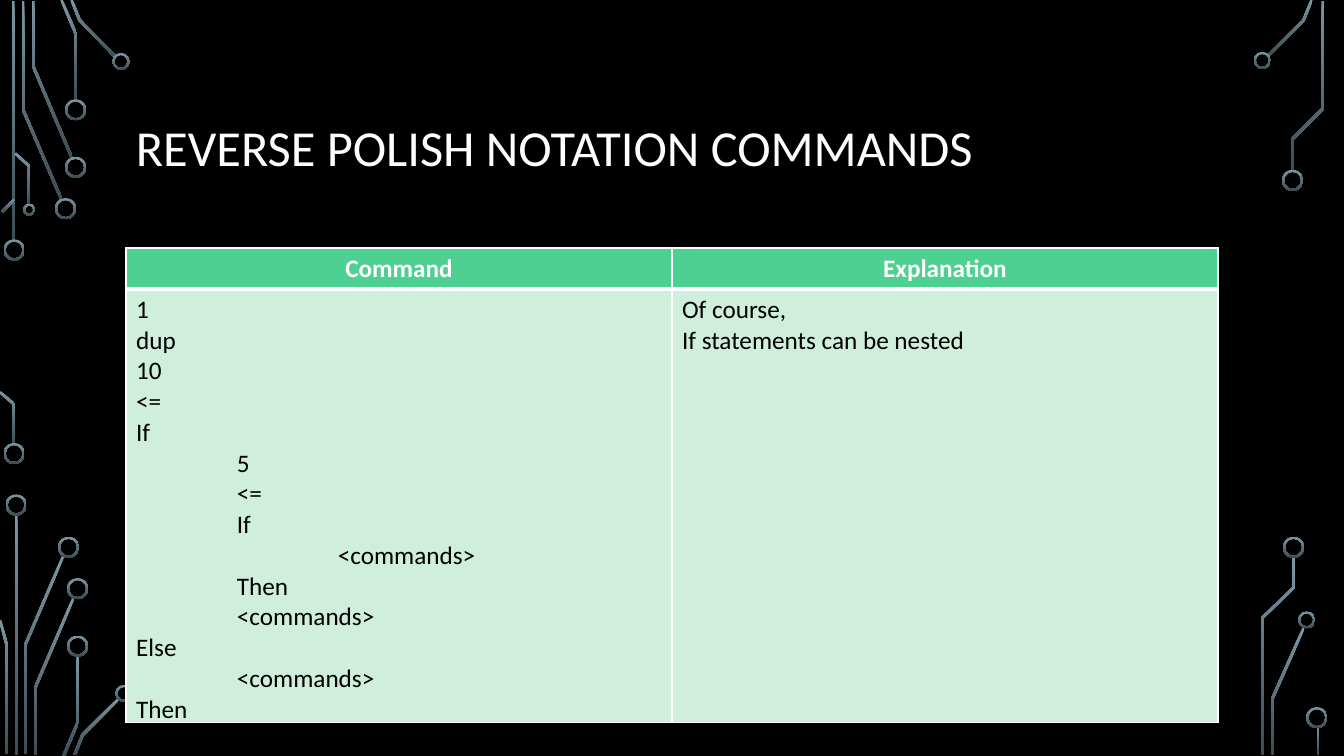
from dataclasses import dataclass
from math import hypot

from lxml import etree
from pptx import Presentation
from pptx.dml.color import RGBColor
from pptx.enum.shapes import MSO_SHAPE
from pptx.enum.text import MSO_ANCHOR, PP_ALIGN
from pptx.oxml.ns import qn
from pptx.util import Inches, Pt

RECT, DONUT = MSO_SHAPE.RECTANGLE, MSO_SHAPE.DONUT
LEFT, CENTER = PP_ALIGN.LEFT, PP_ALIGN.CENTER
MIDDLE = MSO_ANCHOR.MIDDLE
CELL = Inches(0.01)
COLS, ROWS = 1333, 750
TRACE = 2.6
RING_WALL = 2


@dataclass(frozen=True)
class Theme:
    font: str = "Calibri"
    title_size: int = 36
    table_size: int = 18
    background: str = "000000"
    light: str = "FFFFFF"
    dark: str = "000000"
    header: str = "4FD093"
    body: str = "D0EEDC"
    trace_top: str = "7C96A3"
    trace_bottom: str = "3B4C54"


THEME = Theme()

CIRCUITS = [
    {
        "origin": (0, 0),
        "bars": [(12, 1, 239)],
        "traces": [
            [(61, 198), (23, 109), (23, 1)],
            [(71, 156), (33, 66), (33, 1)],
            [(61, 0), (75, 33), (75, 100)],
            [(71, 0), (79, 20), (115, 57)],
            [(2, 210), (14, 198)],
            [(15, 152), (29, 165), (29, 203)],
        ],
        "rings": [(14, 248, 21), (65, 207, 21), (75, 166, 21),
                  (75, 109, 21), (120, 61, 17), (29, 208, 12)],
    },
    {
        "origin": (0, 380),
        "bars": [(15, 130, 239)],
        "traces": [
            [(0, 9), (14, 21), (14, 61)],
            [(25, 368), (25, 260), (63, 171)],
            [(7, 368), (7, 261), (0, 235)],
            [(35, 369), (35, 302), (73, 213)],
            [(63, 370), (77, 337), (77, 270)],
            [(74, 369), (82, 349), (118, 313)],
        ],
        "rings": [(14, 70, 21), (16, 121, 21), (68, 163, 21),
                  (77, 204, 21), (77, 261, 21), (123, 308, 17)],
    },
    {
        "origin": (1240, 0),
        "bars": [],
        "traces": [
            [(17, 56), (53, 20), (61, 0)],
            [(42, 169), (42, 138), (72, 108), (72, 1)],
        ],
        "rings": [(12, 60, 17), (42, 179, 21)],
    },
    {
        "origin": (1240, 520),
        "bars": [(66, 201, 28)],
        "traces": [
            [(22, 229), (22, 173), (53, 103)],
            [(12, 229), (12, 93), (43, 63), (43, 32)],
        ],
        "rings": [(56, 95, 17), (43, 23, 21), (66, 192, 21)],
    },
]

TITLE = "REVERSE POLISH NOTATION COMMANDS"
HEADINGS = ["Command", "Explanation"]
COMMANDS = [
    (0, "1"), (0, "dup"), (0, "10"), (0, "<="), (0, "If"),
    (1, "5"), (1, "<="), (1, "If"), (2, "<commands>"), (1, "Then"),
    (1, "<commands>"), (0, "Else"), (1, "<commands>"), (0, "Then"),
]
EXPLANATION = [(0, "Of course,"), (0, "If statements can be nested")]


def rgb(value):
    return RGBColor.from_string(value)


def grid(*cells):
    return [round(c * CELL) for c in cells]


def format_run(r, **values):
    r.font.color.rgb = rgb(values.pop("color"))
    for name, value in values.items():
        setattr(r.font, name, value)


def paint_trace(sp):
    sp.shadow.inherit = False
    sp.line.fill.background()
    sp.fill.gradient()
    sp.fill.gradient_angle = 270
    for stop, color, position in zip(
            sp.fill.gradient_stops, (THEME.trace_top, THEME.trace_bottom), (0, 1)):
        stop.color.rgb = rgb(color)
        stop.position = position


def normal(a, b):
    dx, dy = b[0] - a[0], b[1] - a[1]
    size = hypot(dx, dy)
    return -dy / size, dx / size


def trace_outline(points):
    normals = [normal(a, b) for a, b in zip(points, points[1:])]
    near, far = [], []
    joints = zip(points, normals[:1] + normals, normals + normals[-1:])
    for (x, y), (ax, ay), (bx, by) in joints:
        k = TRACE / 2 / (1 + ax * bx + ay * by)
        ox, oy = k * (ax + bx), k * (ay + by)
        near.append((x + ox, y + oy))
        far.append((x - ox, y - oy))
    return near + far[::-1]


def draw_circuit(s, origin, bars, traces, rings):
    left, top = origin
    for x, y, height in bars:
        paint_trace(s.shapes.add_shape(RECT, *grid(left + x, top + y, TRACE, height)))
    for points in traces:
        outline = [grid(left + x, top + y) for x, y in trace_outline(points)]
        builder = s.shapes.build_freeform(*outline[0])
        builder.add_line_segments(outline[1:], close=True)
        paint_trace(builder.convert_to_shape())
    for x, y, size in rings:
        box = grid(left + x - size / 2, top + y - size / 2, size, size)
        ring = s.shapes.add_shape(DONUT, *box)
        ring.adjustments[0] = RING_WALL / size
        paint_trace(ring)


def draw_title(s, box):
    tf = s.shapes.add_textbox(*grid(*box)).text_frame
    tf.word_wrap = True
    tf.vertical_anchor = MIDDLE
    p = tf.paragraphs[0]
    p.line_spacing = 0.9
    r = p.add_run()
    r.text = TITLE
    format_run(r, name=THEME.font, size=Pt(THEME.title_size), color=THEME.light)


def set_borders(cell, widths):
    tc_pr = cell._tc.get_or_add_tcPr()
    for side, width in widths.items():
        ln = etree.SubElement(tc_pr, qn(f"a:ln{side}"), w=str(Pt(width)))
        fill = etree.SubElement(ln, qn("a:solidFill"))
        etree.SubElement(fill, qn("a:srgbClr"), val=THEME.light)


def fill_cell(cell, lines, fill, color, bold, align, borders):
    set_borders(cell, borders)
    cell.fill.solid()
    cell.fill.fore_color.rgb = rgb(fill)
    tf = cell.text_frame
    for i, (depth, text) in enumerate(lines):
        p = tf.add_paragraph() if i else tf.paragraphs[0]
        p.alignment = align
        if depth:
            p._p.get_or_add_pPr().set("marL", str(Inches(depth)))
        r = p.add_run()
        r.text = text
        format_run(r, name=THEME.font, size=Pt(THEME.table_size), bold=bold, color=color)


def draw_table(s, box, header_height):
    left, top, width, height = grid(*box)
    table = s.shapes.add_table(2, 2, left, top, width, height).table
    table.horz_banding = False
    table.rows[0].height, table.rows[1].height = grid(
        header_height, box[3] - header_height)
    header = {"fill": THEME.header, "color": THEME.light, "bold": True,
              "align": CENTER, "borders": {"L": 1, "R": 1, "T": 1, "B": 3}}
    body = {"fill": THEME.body, "color": THEME.dark, "bold": False,
            "align": LEFT, "borders": {"L": 1, "R": 1, "T": 3, "B": 1}}
    for col, (heading, lines) in enumerate(zip(HEADINGS, (COMMANDS, EXPLANATION))):
        fill_cell(table.cell(0, col), [(0, heading)], **header)
        fill_cell(table.cell(1, col), lines, **body)


def main():
    prs = Presentation()
    prs.slide_width, prs.slide_height = grid(COLS, ROWS)
    s = prs.slides.add_slide(prs.slide_layouts[6])
    s.background.fill.solid()
    s.background.fill.fore_color.rgb = rgb(THEME.background)
    for circuit in CIRCUITS:
        draw_circuit(s, **circuit)
    draw_title(s, (125, 68, 1083, 162))
    draw_table(s, (125, 246, 1083, 471), 41)
    prs.save("out.pptx")


if __name__ == "__main__":
    main()
